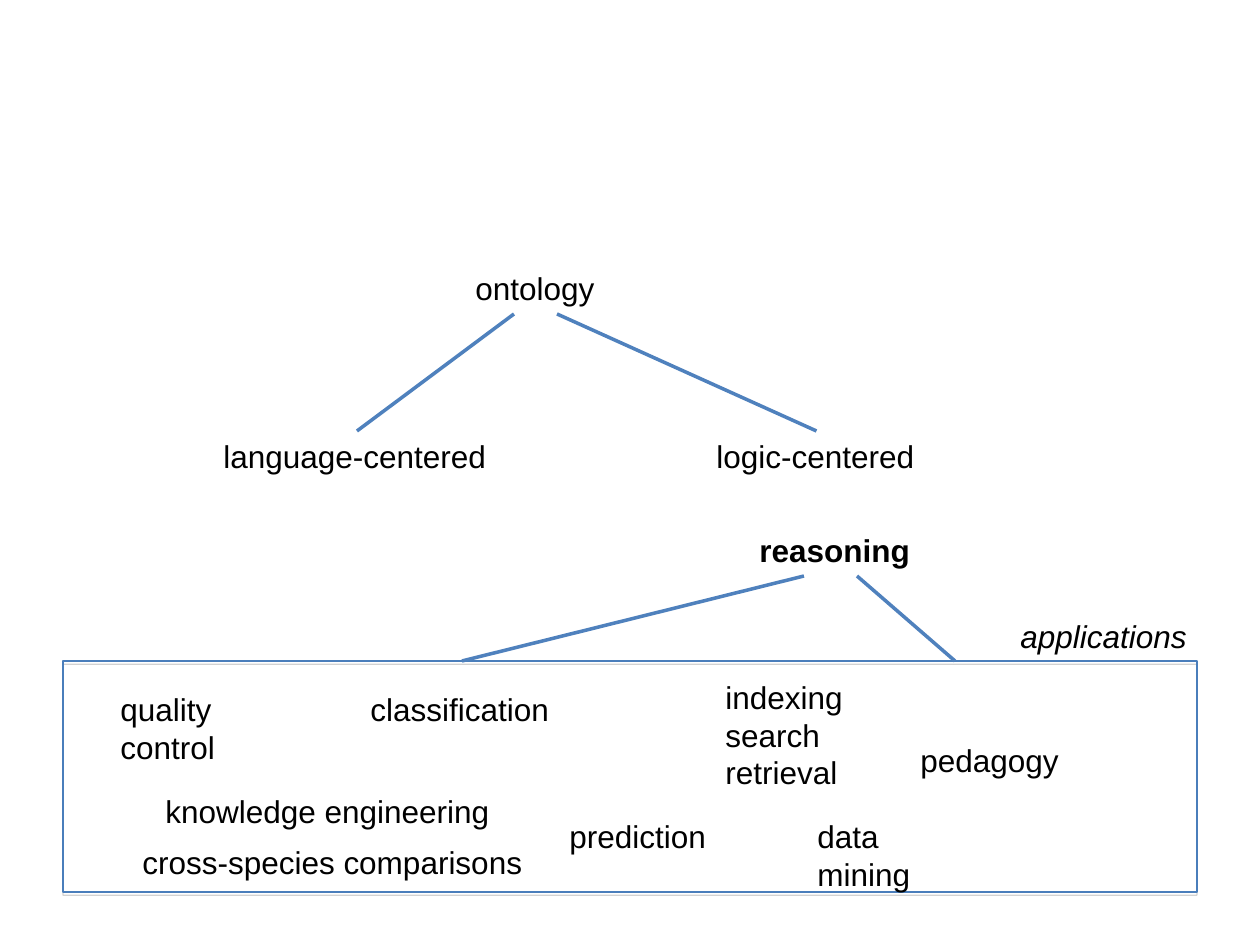
from lxml import etree
from pptx import Presentation
from pptx.dml.color import RGBColor as Rgb
from pptx.enum.shapes import MSO_CONNECTOR as Conn, MSO_SHAPE as Kind
from pptx.enum.text import MSO_AUTO_SIZE as Fit
from pptx.oxml import parse_xml
from pptx.oxml.ns import nsdecls, qn
from pptx.util import Emu, Pt

INK = {"text": "000000", "line": "4F81BD", "edge": "4A7EBB", "shade": "808080"}
SCALE = 914400 / 126
TERMS = [
    (1008, 611, 194, 50, "applications"),
    (908, 735, 167, 50, "pedagogy"),
    (557, 811, 165, 50, "prediction"),
    (358, 684, 207, 50, "classification"),
    (153, 786, 352, 50, "knowledge engineering"),
    (713, 672, 146, 126, "indexing\nsearch\nretrieval"),
    (108, 684, 123, 88, "quality\ncontrol"),
    (805, 811, 121, 88, "data\nmining"),
    (130, 837, 408, 50, "cross-species comparisons"),
]


def px(*nums):
    return [Emu(round(n * SCALE)) for n in nums]


def label(slide, x, y, w, h, text, bold=False, italic=False):
    box = slide.shapes.add_textbox(*px(x, y, w, h))
    frame = box.text_frame
    frame.text = text
    frame.word_wrap = False
    frame.auto_size = Fit.SHAPE_TO_FIT_TEXT
    for para in frame.paragraphs:
        para.line_spacing = Pt(21.5)
        for run in para.runs:
            font = run.font
            font.name = "Arial"
            font.size = Pt(18)
            font.bold = bold
            font.italic = italic
            font.color.rgb = Rgb.from_string(INK["text"])
    return box


def branch(slide, start, end, child=None):
    line = slide.shapes.add_connector(Conn.STRAIGHT, *px(*start, *end))
    line.line.color.rgb = Rgb.from_string(INK["line"])
    line.line.width = Pt(2)
    etree.SubElement(line._element.spPr, qn("a:effectLst"))
    if child is not None:
        line.end_connect(child, 0)


def panel(slide, x, y, w, h):
    rect = slide.shapes.add_shape(Kind.RECTANGLE, *px(x, y, w, h))
    rect.fill.background()
    rect.line.color.rgb = Rgb.from_string(INK["edge"])
    rect.line.width = Pt(0.75)
    rect.shadow.inherit = False
    shade = parse_xml(
        f'<a:outerShdw {nsdecls("a")} dist="{Pt(1.8)}" dir="5400000" rotWithShape="0">'
        f'<a:srgbClr val="{INK["shade"]}"><a:alpha val="35000"/></a:srgbClr>'
        "</a:outerShdw>"
    )
    rect._element.spPr.find(qn("a:effectLst")).append(shade)


def main():
    deck = Presentation()
    deck.slide_width, deck.slide_height = px(1260, 945)
    slide = deck.slides.add_slide(deck.slide_layouts[6])

    label(slide, 463, 263, 148, 50, "ontology")
    lang = label(slide, 211, 431, 292, 50, "language-centered")
    logic = label(slide, 704, 431, 225, 50, "logic-centered")
    branch(slide, (514, 314), (357, 431), lang)
    branch(slide, (557, 314), (816, 431), logic)

    panel(slide, 63, 661, 1134, 231)
    for term in TERMS:
        label(slide, *term, italic=term[-1] == "applications")

    label(slide, 747, 525, 179, 50, "reasoning", bold=True)
    branch(slide, (804, 576), (462, 661))
    branch(slide, (857, 576), (955, 661))
    deck.save("out.pptx")


if __name__ == "__main__":
    main()
